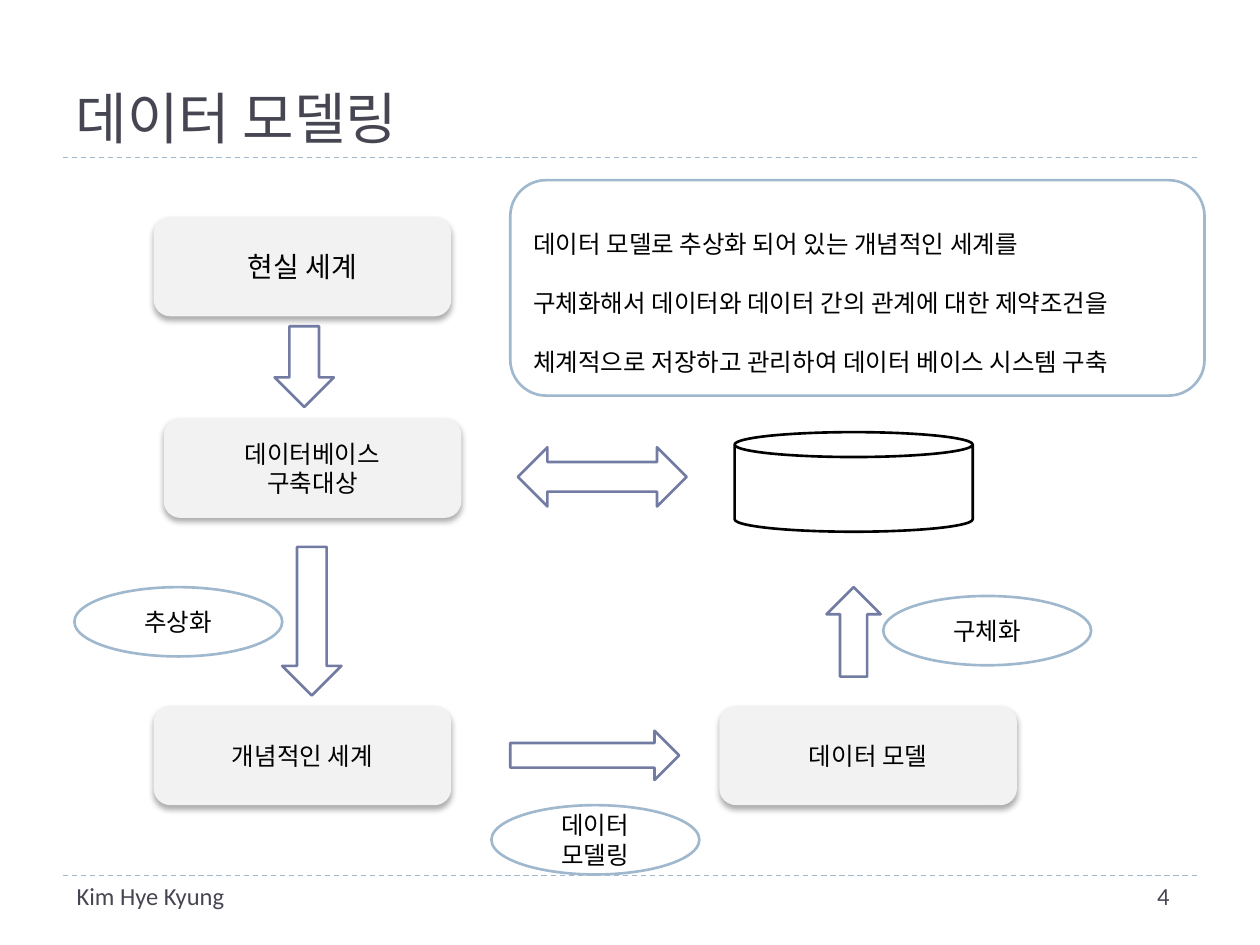
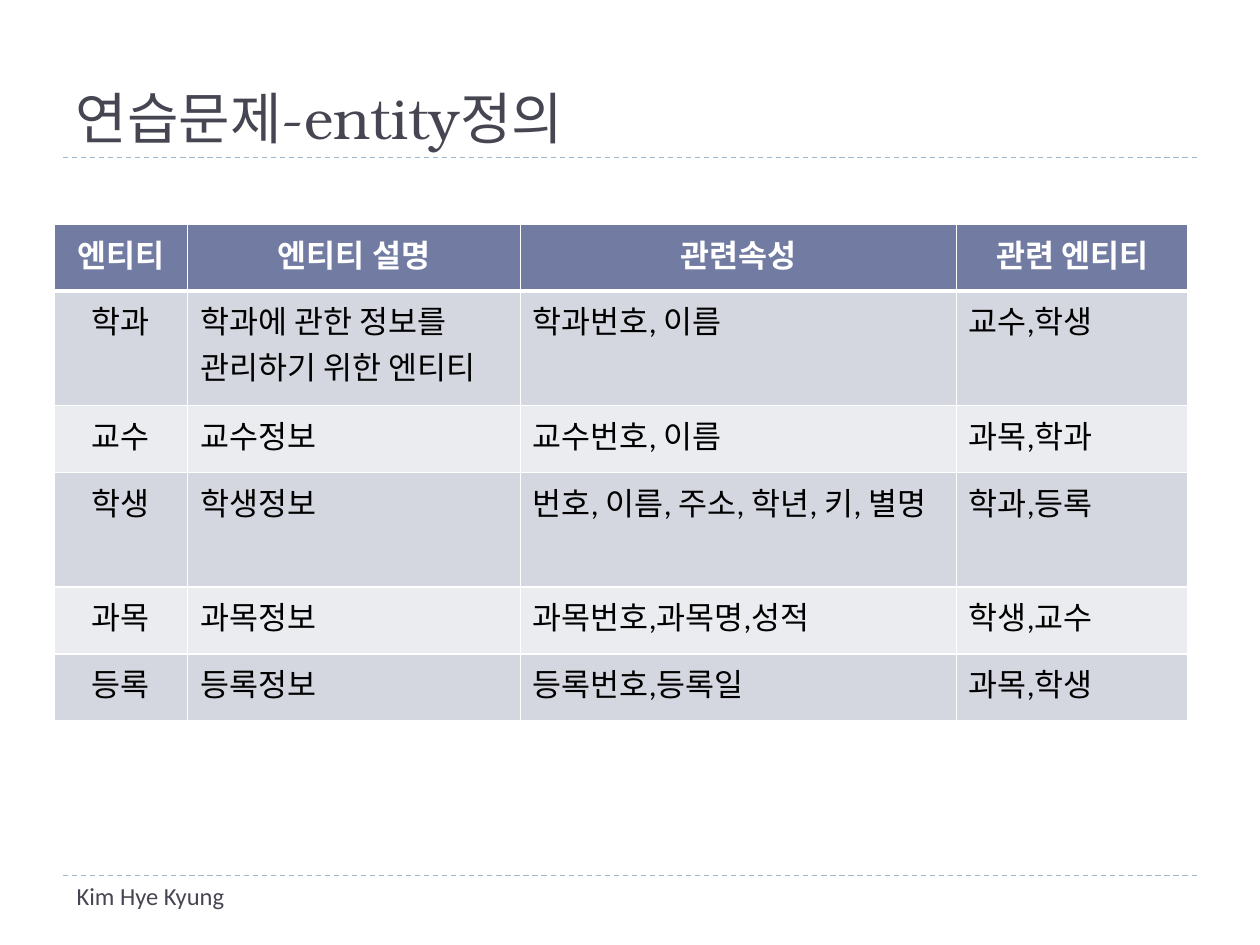
import pptx
import pptx.dml.color
import pptx.enum.dml
import pptx.enum.shapes
import pptx.enum.text
import pptx.oxml
import pptx.oxml.ns
import pptx.util

Pt = pptx.util.Pt
SHAPE = pptx.enum.shapes.MSO_SHAPE
ALIGN = pptx.enum.text.PP_ALIGN
ANCHOR = pptx.enum.text.MSO_ANCHOR

COLORS = {
    "ink": "464653", "text": "000000", "white": "FFFFFF", "panel": "F2F2F2",
    "accent": "727CA3", "outline": "9FB8CD", "band_dark": "D5D7E0", "band_light": "EBECF0",
}
BODY_FONT = "Calibri"
TITLE_FONT = "TeX Gyre Bonum"
AUTHOR = "Kim Hye Kyung"
RULE_LEFT, RULE_RIGHT, RULE_TOPS = 36, 684, (90, 500.4)
PANEL_SIZE = (170, 56.88)
LABEL_SIZE = (118.8, 39.6)

# Slide 1: label, left, top, size
PANELS = [
    ("현실 세계", 87.84, 123.84, 16),
    ("데이터베이스\n구축대상", 93.6, 239.04, 14),
    ("개념적인 세계", 87.84, 403.2, 14),
    ("데이터 모델", 411.12, 403.2, 14),
]
ARROWS = [
    (SHAPE.DOWN_ARROW, (156.96, 186.48, 33.84, 46.08)),
    (SHAPE.DOWN_ARROW, (161.28, 312.48, 33.84, 84.96)),
    (SHAPE.RIGHT_ARROW, (291.6, 417.6, 96.48, 28.08)),
    (SHAPE.UP_ARROW, (472.32, 335.52, 30.96, 51.12)),
    (SHAPE.LEFT_RIGHT_ARROW, (295.92, 255.6, 96.48, 33.84)),
]
STEP_LABELS = [
    ("추상화", 42.48, 335.52),
    ("구체화", 504.72, 340.56),
    ("데이터\n모델링", 280.8, 460.08),
]
SUMMARY = (
    "데이터 모델로 추상화 되어 있는 개념적인 세계를\n"
    "구체화해서 데이터와 데이터 간의 관계에 대한 제약조건을 "
    "체계적으로 저장하고 관리하여 데이터 베이스 시스템 구축"
)

# Slide 2
COLUMN_WIDTHS = (76.32, 190.08, 249.12, 132.48)
ROW_HEIGHTS = (38.16, 65.52, 38.16, 65.52, 38.16, 38.16)
ENTITIES = [
    ("엔티티", "엔티티 설명", "관련속성", "관련 엔티티"),
    ("학과", "학과에 관한 정보를 관리하기 위한 엔티티", "학과번호, 이름", "교수,학생"),
    ("교수", "교수정보", "교수번호, 이름", "과목,학과"),
    ("학생", "학생정보", "번호, 이름, 주소, 학년, 키, 별명", "학과,등록"),
    ("과목", "과목정보", "과목번호,과목명,성적", "학생,교수"),
    ("등록", "등록정보", "등록번호,등록일", "과목,학생"),
]


def rgb(name):
    return pptx.dml.color.RGBColor.from_string(COLORS[name])


def set_all(target, values):
    for name, value in values.items():
        setattr(target, name, value)


def points(*lengths):
    return [Pt(length) for length in lengths]


def make_element(xml):
    return pptx.oxml.parse_xml(xml.replace(">", f" {pptx.oxml.ns.nsdecls('a')}>", 1))


def write(frame, text, size, color="text", font=BODY_FONT, bold=False, **para_format):
    """Fill a text frame, one paragraph per line of text."""
    frame.word_wrap = True
    for index, line in enumerate(text.split("\n")):
        para = frame.add_paragraph() if index else frame.paragraphs[0]
        set_all(para, para_format)
        span = para.add_run()
        span.text = line
        set_all(span.font, {"size": Pt(size), "name": font, "bold": bold})
        span.font.color.rgb = rgb(color)


def add_form(page, kind, place, fill="white", outline=None):
    form = page.shapes.add_shape(kind, *points(*place))
    form.shadow.inherit = False
    form.fill.solid()
    form.fill.fore_color.rgb = rgb(fill)
    if outline:
        form.line.color.rgb = rgb(outline)
        form.line.width = Pt(1.5)
    else:
        form.line.fill.background()
    form.text_frame.vertical_anchor = ANCHOR.MIDDLE
    return form


def add_panel(page, text, left, top, size):
    panel = add_form(page, SHAPE.ROUNDED_RECTANGLE, (left, top, *PANEL_SIZE), "panel")
    effects = panel.element.spPr.find(pptx.oxml.ns.qn("a:effectLst"))
    effects.append(make_element(
        f'<a:outerShdw blurRad="{Pt(3.5)}" dist="{Pt(2.2)}" dir="5400000" rotWithShape="0">'
        '<a:srgbClr val="000000"><a:alpha val="32000"/></a:srgbClr></a:outerShdw>'))
    write(panel.text_frame, text, size, alignment=ALIGN.CENTER)


def add_step_label(page, text, left, top):
    label = add_form(page, SHAPE.OVAL, (left, top, *LABEL_SIZE), outline="outline")
    write(label.text_frame, text, 14, alignment=ALIGN.CENTER)


def add_rule(page, top):
    rule = page.shapes.add_connector(
        pptx.enum.shapes.MSO_CONNECTOR.STRAIGHT, *points(RULE_LEFT, top, RULE_RIGHT, top))
    rule.line.color.rgb = rgb("outline")
    set_all(rule.line, {"width": Pt(0.75), "dash_style": pptx.enum.dml.MSO_LINE.DASH})
    rule.element.spPr.append(make_element("<a:effectLst></a:effectLst>"))


def add_footer_text(page, text, place, right_inset=7.2, align=ALIGN.LEFT):
    box = page.shapes.add_textbox(*points(*place))
    box.text_frame.margin_right = Pt(right_inset)
    write(box.text_frame, text, 14, "ink", alignment=align)


def add_page(deck, title, number=None):
    """Start a slide with the shared title, rules and footer."""
    page = deck.slides.add_slide(deck.slide_layouts[5])
    for top in RULE_TOPS:
        add_rule(page, top)
    heading = page.shapes.title
    set_all(heading, dict(zip(("left", "top", "width", "height"), points(36, 12.24, 648, 77.76))))
    set_all(heading.text_frame, {"vertical_anchor": ANCHOR.BOTTOM,
                                 "auto_size": pptx.enum.text.MSO_AUTO_SIZE.NONE})
    write(heading.text_frame, title, 32, "ink", TITLE_FONT, alignment=ALIGN.LEFT)
    add_footer_text(page, AUTHOR, (36.72, 499.68, 168.48, 28.8))
    if number:
        add_footer_text(page, number, (622.8, 499.68, 88.56, 28.8), 43, ALIGN.RIGHT)
    return page


def style_cell(cell, fill, top_width, bottom_width):
    properties = cell._tc.get_or_add_tcPr()
    for side, width in (("L", 1), ("R", 1), ("T", top_width), ("B", bottom_width)):
        properties.append(make_element(
            f'<a:ln{side} w="{Pt(width)}"><a:solidFill><a:srgbClr val="{COLORS["white"]}"/>'
            f'</a:solidFill></a:ln{side}>'))
    cell.fill.solid()
    cell.fill.fore_color.rgb = rgb(fill)


def add_entity_table(page, left, top):
    frame = page.shapes.add_table(
        len(ENTITIES), len(COLUMN_WIDTHS),
        *points(left, top, sum(COLUMN_WIDTHS), sum(ROW_HEIGHTS)))
    table = frame.table
    for column, width in zip(table.columns, COLUMN_WIDTHS):
        column.width = Pt(width)
    for row, height in zip(table.rows, ROW_HEIGHTS):
        row.height = Pt(height)
    for row_index, texts in enumerate(ENTITIES):
        header = row_index == 0
        band = "band_dark" if row_index % 2 else "band_light"
        for column_index, text in enumerate(texts):
            cell = table.cell(row_index, column_index)
            style_cell(cell, "accent" if header else band,
                       3 if row_index == 1 else 1, 3 if header else 1)
            centered = header or column_index == 0
            write(cell.text_frame, text, 18, "white" if header else "text", bold=header,
                  alignment=ALIGN.CENTER if centered else ALIGN.LEFT, line_spacing=Pt(26))


def build_modeling_page(deck):
    page = add_page(deck, "데이터 모델링", "4")
    for panel in PANELS:
        add_panel(page, *panel)
    # Database cylinder and the flow between the stages
    add_form(page, SHAPE.CAN, (419.76, 246.96, 136.08, 56.88), outline="text")
    for kind, place in ARROWS:
        add_form(page, kind, place, outline="accent")
    for label in STEP_LABELS:
        add_step_label(page, *label)
    # Summary
    summary = add_form(page, SHAPE.ROUNDED_RECTANGLE, (291.6, 102.96, 396.72, 123.12),
                       outline="outline")
    write(summary.text_frame, SUMMARY, 14, alignment=ALIGN.LEFT, line_spacing=2.0)


def build_entity_page(deck):
    page = add_page(deck, "연습문제-entity정의")
    add_entity_table(page, 30.96, 128.16)


def main():
    deck = pptx.Presentation()
    set_all(deck, {"slide_width": Pt(720), "slide_height": Pt(540)})
    build_modeling_page(deck)
    build_entity_page(deck)
    deck.save("out.pptx")


if __name__ == "__main__":
    main()
